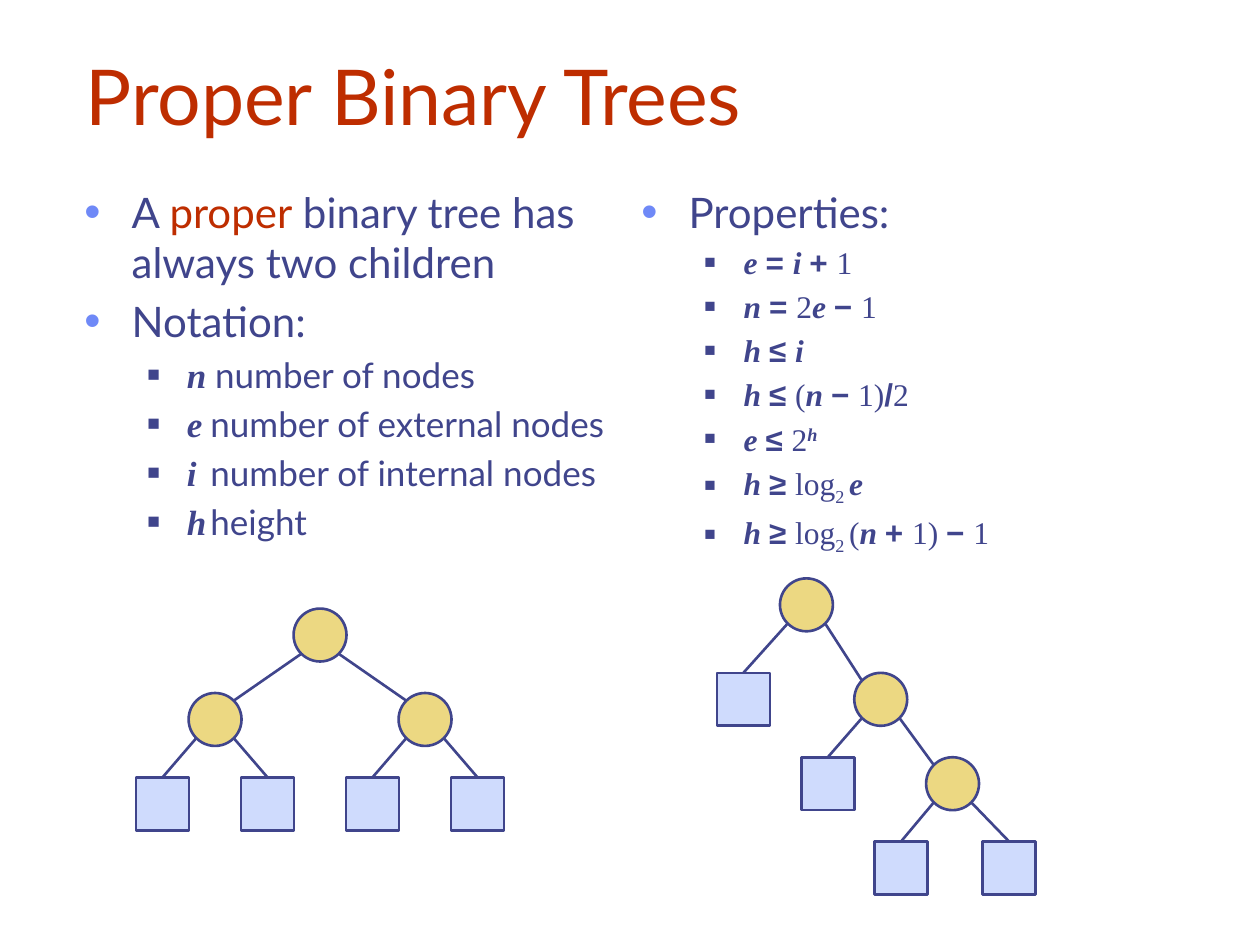
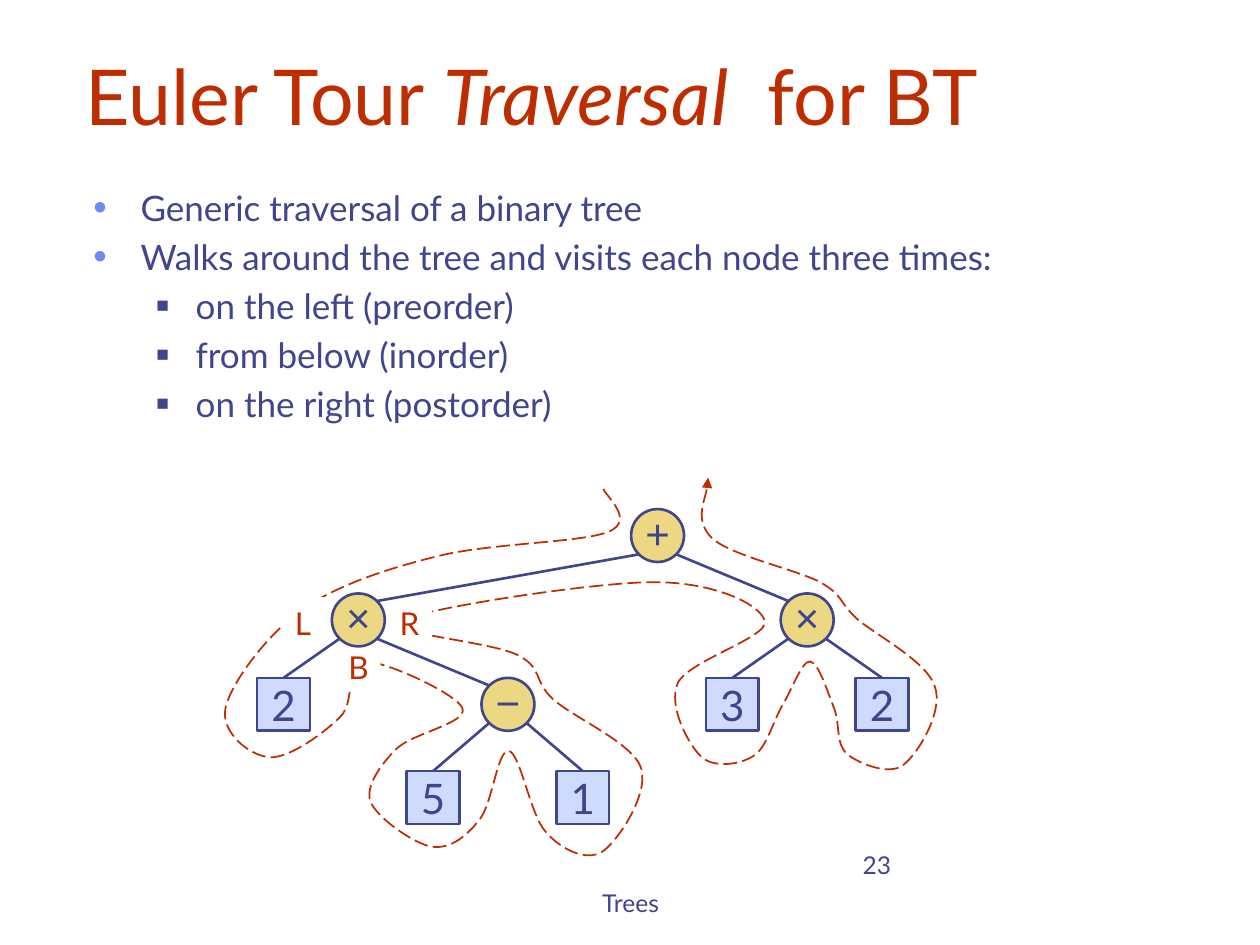
"""Builds two lecture slides on binary trees."""
from dataclasses import dataclass

from lxml import etree
from pptx import Presentation
from pptx.dml.color import RGBColor
from pptx.enum.dml import MSO_LINE
from pptx.enum.shapes import MSO_CONNECTOR, MSO_SHAPE
from pptx.enum.text import MSO_ANCHOR, MSO_AUTO_SIZE, PP_ALIGN
from pptx.oxml.ns import qn
from pptx.util import Inches, Pt

OVAL, SQUARE = MSO_SHAPE.OVAL, MSO_SHAPE.RECTANGLE
STRAIGHT, LONG_DASH = MSO_CONNECTOR.STRAIGHT, MSO_LINE.LONG_DASH
BOTTOM, MIDDLE, TOP = MSO_ANCHOR.BOTTOM, MSO_ANCHOR.MIDDLE, MSO_ANCHOR.TOP
LEFT, CENTER, RIGHT = PP_ALIGN.LEFT, PP_ALIGN.CENTER, PP_ALIGN.RIGHT
NO_FIT = MSO_AUTO_SIZE.NONE

COLORS = {"ink": "40458C", "accent": "BE2D00", "bullet": "6F89F7",
          "inner": "ECD882", "leaf": "CFDBFD", "paper": "FFFFFF"}
STYLES = {
    "text": {"name": "Lato"},
    "key": {"name": "Lato"},
    "slant": {"name": "Lato", "italic": True},
    "var": {"name": "Times New Roman", "bold": True, "italic": True},
    "op": {"name": "Arial", "bold": True},
    "num": {"name": "Times New Roman"},
    "sub": {"name": "Times New Roman"},
    "sup": {"name": "Times New Roman", "bold": True, "italic": True},
    "sign": {"name": "Arial"},
}
RED_STYLES = ("key", "slant")
BASELINES = {"sub": "-25000", "sup": "30000"}
RAISED = {"₂": "2", "ʰ": "h"}
BULLETS = [("bullet", "110000", "•"), ("ink", "60000", "■")]
NODE, REACH = 0.42, 0.15

TOUR_START = (4.79, 3.88)
TOUR = [
    (4.8, 3.93, 5.05, 4.13, 4.83, 4.22), (4.61, 4.31, 3.86, 4.31, 3.45, 4.42),
    (3.05, 4.52, 2.66, 4.65, 2.38, 4.85), (2.1, 5.06, 1.83, 5.43, 1.79, 5.62),
    (1.75, 5.82, 1.99, 6, 2.14, 6.01), (2.3, 6.02, 2.58, 5.81, 2.7, 5.69),
    (2.83, 5.56, 2.73, 5.26, 2.89, 5.25), (3.05, 5.24, 3.63, 5.51, 3.67, 5.62),
    (3.72, 5.74, 3.26, 5.82, 3.14, 5.95), (3.02, 6.07, 2.9, 6.24, 2.94, 6.36),
    (2.99, 6.49, 3.29, 6.7, 3.43, 6.72), (3.58, 6.74, 3.71, 6.63, 3.81, 6.5),
    (3.91, 6.37, 3.95, 5.94, 4.04, 5.96), (4.13, 5.98, 4.21, 6.47, 4.33, 6.6),
    (4.45, 6.74, 4.65, 6.84, 4.78, 6.76), (4.9, 6.68, 5.15, 6.31, 5.09, 6.1),
    (5.03, 5.9, 4.56, 5.7, 4.39, 5.55), (4.23, 5.4, 4.31, 5.3, 4.11, 5.2),
    (3.91, 5.09, 2.99, 5.02, 3.17, 4.93), (3.35, 4.83, 4.71, 4.62, 5.19, 4.62),
    (5.68, 4.62, 6.04, 4.8, 6.07, 4.93), (6.1, 5.06, 5.47, 5.24, 5.38, 5.42),
    (5.3, 5.6, 5.46, 5.9, 5.56, 6), (5.66, 6.1, 5.87, 6.07, 5.98, 6),
    (6.09, 5.93, 6.14, 5.71, 6.22, 5.58), (6.29, 5.46, 6.37, 5.24, 6.43, 5.25),
    (6.5, 5.26, 6.57, 5.5, 6.62, 5.62), (6.67, 5.75, 6.63, 5.91, 6.73, 5.99),
    (6.82, 6.06, 7.06, 6.16, 7.17, 6.07), (7.29, 5.98, 7.49, 5.64, 7.42, 5.45),
    (7.36, 5.25, 6.95, 5.04, 6.8, 4.91), (6.65, 4.77, 6.7, 4.73, 6.51, 4.62),
    (6.32, 4.52, 5.8, 4.41, 5.65, 4.27), (5.51, 4.13, 5.63, 3.89, 5.62, 3.79),
]


@dataclass
class Node:
    """A tree node by its centre; one without children is a leaf."""
    x: float
    y: float
    label: str = ""
    children: tuple = ()


def rgb(name):
    """Return a named colour."""
    return RGBColor.from_string(COLORS[name])


def apply(target, values):
    """Set every attribute in values on the target."""
    for name, value in values.items():
        setattr(target, name, value)


def place(shape, left, top, width, height):
    """Move and size a shape in inches."""
    apply(shape, {"left": Inches(left), "top": Inches(top),
                  "width": Inches(width), "height": Inches(height)})


def add_runs(paragraph, runs, size, color="ink"):
    """Write (style, text) runs into a paragraph."""
    for style, text in runs:
        run = paragraph.add_run()
        run.text = text
        apply(run.font, {"size": Pt(size), "bold": False, "italic": False})
        apply(run.font, STYLES[style])
        run.font.color.rgb = rgb("accent" if style in RED_STYLES else color)
        if style in BASELINES:
            run.font._element.set("baseline", BASELINES[style])


def formula(text):
    """Split a formula into variable, operator and number runs."""
    runs = []
    for character in text:
        style = ("var" if character in "einh" else "op" if character in "=+−≤≥/"
                 else "sub" if character == "₂" else "sup" if character == "ʰ" else "num")
        character = RAISED.get(character, character)
        if runs and (character == " " or runs[-1][0] == style):
            runs[-1] = (runs[-1][0], runs[-1][1] + character)
        else:
            runs.append((style, character))
    return runs


def set_bullet(paragraph, level):
    """Give a paragraph the bullet of its list level."""
    color, size, character = BULLETS[level]
    paragraph.level = level
    properties = paragraph._p.get_or_add_pPr()
    holder = etree.SubElement(properties, qn("a:buClr"))
    etree.SubElement(holder, qn("a:srgbClr"), val=COLORS[color])
    etree.SubElement(properties, qn("a:buSzPct"), val=size)
    etree.SubElement(properties, qn("a:buChar"), char=character)


def fill_title(slide, runs):
    """Place and write the slide title."""
    title = slide.shapes.title
    place(title, 0.58, 0.33, 9.03, 0.84)
    apply(title.text_frame, {"vertical_anchor": BOTTOM, "auto_size": NO_FIT})
    paragraph = title.text_frame.paragraphs[0]
    paragraph.alignment = LEFT
    add_runs(paragraph, runs, 44, "accent")


def fill_body(slide, box, items, columns=1):
    """Place the body and write its (level, size, runs) items."""
    body = slide.placeholders[1]
    place(body, *box)
    frame = body.text_frame
    apply(frame, {"vertical_anchor": TOP, "auto_size": NO_FIT})
    frame._txBody.bodyPr.set("numCol", str(columns))
    for index, (level, size, runs) in enumerate(items):
        paragraph = frame.add_paragraph() if index else frame.paragraphs[0]
        set_bullet(paragraph, level)
        add_runs(paragraph, runs, size)


def add_footer(slide, box, text, alignment):
    """Add a small footer text."""
    footer = slide.shapes.add_textbox(*map(Inches, box))
    apply(footer.text_frame, {"word_wrap": True, "vertical_anchor": BOTTOM})
    paragraph = footer.text_frame.paragraphs[0]
    paragraph.alignment = alignment
    add_runs(paragraph, [("text", text)], 14)


def add_box(shapes, kind, box, fill, run=None, size=24, color="ink"):
    """Add a filled shape with an optional centred label."""
    shape = shapes.add_shape(kind, *map(Inches, box))
    shape.shadow.inherit = False
    shape.fill.solid()
    shape.fill.fore_color.rgb = rgb(fill)
    shape.line.fill.background()
    if run:
        apply(shape.text_frame, {"word_wrap": False, "vertical_anchor": MIDDLE})
        paragraph = shape.text_frame.paragraphs[0]
        paragraph.alignment = CENTER
        add_runs(paragraph, [run], size, color)
    return shape


def add_edge(shapes, parent, child):
    """Draw the edge from a parent to its child."""
    side = REACH if child.x > parent.x else -REACH
    if child.children:
        end = (child.x - side, child.y - REACH)
    else:
        end = (child.x, child.y - NODE / 2)
    points = (parent.x + side, parent.y + REACH, *end)
    edge = shapes.add_connector(STRAIGHT, *map(Inches, points))
    edge.line.color.rgb = rgb("ink")
    edge.line.width = Pt(1.5)
    etree.SubElement(edge._element.spPr, qn("a:effectLst"))


def draw_tree(shapes, node):
    """Draw a node, then its edges and subtrees."""
    kind, fill, style = (OVAL, "inner", "sign") if node.children else (SQUARE, "leaf", "text")
    box = (node.x - NODE / 2, node.y - NODE / 2, NODE, NODE)
    shape = add_box(shapes, kind, box, fill, node.label and (style, node.label))
    shape.line.color.rgb = rgb("ink")
    shape.line.width = Pt(1.5)
    if node.children:
        apply(shape.text_frame, {"margin_left": 0, "margin_right": 0,
                                 "margin_top": 0, "margin_bottom": Inches(0.05)})
    for child in node.children:
        add_edge(shapes, node, child)
        draw_tree(shapes, child)


def draw_tour(shapes):
    """Draw the dashed tour as a chain of Bezier curves with an arrowhead."""
    points = [(Inches(x), Inches(y)) for curve in TOUR
              for x, y in zip(curve[::2], curve[1::2])]
    builder = shapes.build_freeform(*map(Inches, TOUR_START), scale=1.0)
    builder.add_line_segments(points, close=False)
    tour = builder.convert_to_shape()
    outline = tour._element.spPr.find(".//" + qn("a:path"))
    segments = outline.findall(qn("a:lnTo"))
    for start in range(0, len(segments), 3):
        curve = etree.SubElement(outline, qn("a:cubicBezTo"))
        for segment in segments[start:start + 3]:
            curve.append(segment[0])
            outline.remove(segment)
    tour.shadow.inherit = False
    tour.fill.background()
    tour.line.color.rgb = rgb("accent")
    apply(tour.line, {"width": Pt(1), "dash_style": LONG_DASH})
    etree.SubElement(tour.line._get_or_add_ln(), qn("a:tailEnd"), type="triangle")


def build_proper_trees(slide):
    """Build the slide on proper binary trees."""
    fill_title(slide, [("text", "Proper Binary Trees")])
    notation = [("n ", "number of nodes"), ("e", "\tnumber of external nodes"),
                ("i", "\tnumber of internal nodes"), ("h\t", "height")]
    properties = ["e = i + 1", "n = 2e − 1", "h ≤ i", "h ≤ (n − 1)/2", "e ≤ 2ʰ",
                  "h ≥ log₂ e", "h ≥ log₂ (n + 1) − 1"]
    items = [(0, 24, [("text", "A "), ("key", "proper"),
                      ("text", " binary tree has always two children")]),
             (0, 24, [("text", "Notation:")])]
    items += [(1, 20, [("var", name), ("text", meaning)]) for name, meaning in notation]
    items.append((0, 24, [("text", "Properties:")]))
    items += [(1, 18, formula(text)) for text in properties]
    fill_body(slide, (0.57, 1.43, 9.04, 3), items, columns=2)

    columns = [1.29 + 2.5 / 6 * index for index in range(7)]
    rows = [5.04 + 0.67 * index for index in range(3)]
    branches = tuple(Node(columns[middle], rows[1], children=tuple(
        Node(columns[middle + side], rows[2]) for side in (-1, 1))) for middle in (1, 5))
    draw_tree(slide.shapes, Node(columns[3], rows[0], children=branches))

    lowest = Node(7.56, 6.22, children=(Node(7.15, 6.89), Node(8.01, 6.89)))
    middle = Node(6.99, 5.55, children=(Node(6.57, 6.22), lowest))
    group = slide.shapes.add_group_shape()
    draw_tree(group.shapes, Node(6.4, 4.8, children=(Node(5.9, 5.55), middle)))


def build_euler_tour(slide):
    """Build the slide on the Euler tour."""
    add_footer(slide, (3.42, 6.83, 3.17, 0.5), "Trees", CENTER)
    add_footer(slide, (5.09, 6.53, 2.08, 0.5), "23", RIGHT)
    fill_title(slide, [("text", "Euler Tour "), ("slant", "Traversal"), ("text", "  for BT")])
    lines = [(0, "Generic traversal of a binary tree"),
             (0, "Walks around the tree and visits each node three times:"),
             (1, "on the left (preorder)"), (1, "from below (inorder)"),
             (1, "on the right (postorder)")]
    fill_body(slide, (0.64, 1.43, 8.67, 2.33),
              [(level, 20, [("text", text)]) for level, text in lines])

    draw_tour(slide.shapes)
    for letter, left, top, width in (("L", 2.24, 4.74, 0.33), ("B", 2.67, 5.09, 0.35),
                                     ("R", 3.07, 4.74, 0.36)):
        add_box(slide.shapes, SQUARE, (left, top, width, 0.4), "paper", ("key", letter), 18)

    columns = [2.25 + 4.75 / 8 * index for index in range(9)]
    rows = [4.25, 4.92, 5.59, 6.33]
    minus = Node(columns[3], rows[2], "−",
                 (Node(columns[2], rows[3], "5"), Node(columns[4], rows[3], "1")))
    left = Node(columns[1], rows[1], "×", (Node(columns[0], rows[2], "2"), minus))
    right = Node(columns[7], rows[1], "×",
                 (Node(columns[6], rows[2], "3"), Node(columns[8], rows[2], "2")))
    draw_tree(slide.shapes, Node(columns[5], rows[0], "+", (left, right)))


def main():
    """Build and save the presentation."""
    presentation = Presentation()
    apply(presentation, {"slide_width": Inches(10), "slide_height": Inches(7.5)})
    for build in (build_proper_trees, build_euler_tour):
        build(presentation.slides.add_slide(presentation.slide_layouts[1]))
    presentation.save("out.pptx")


main()
